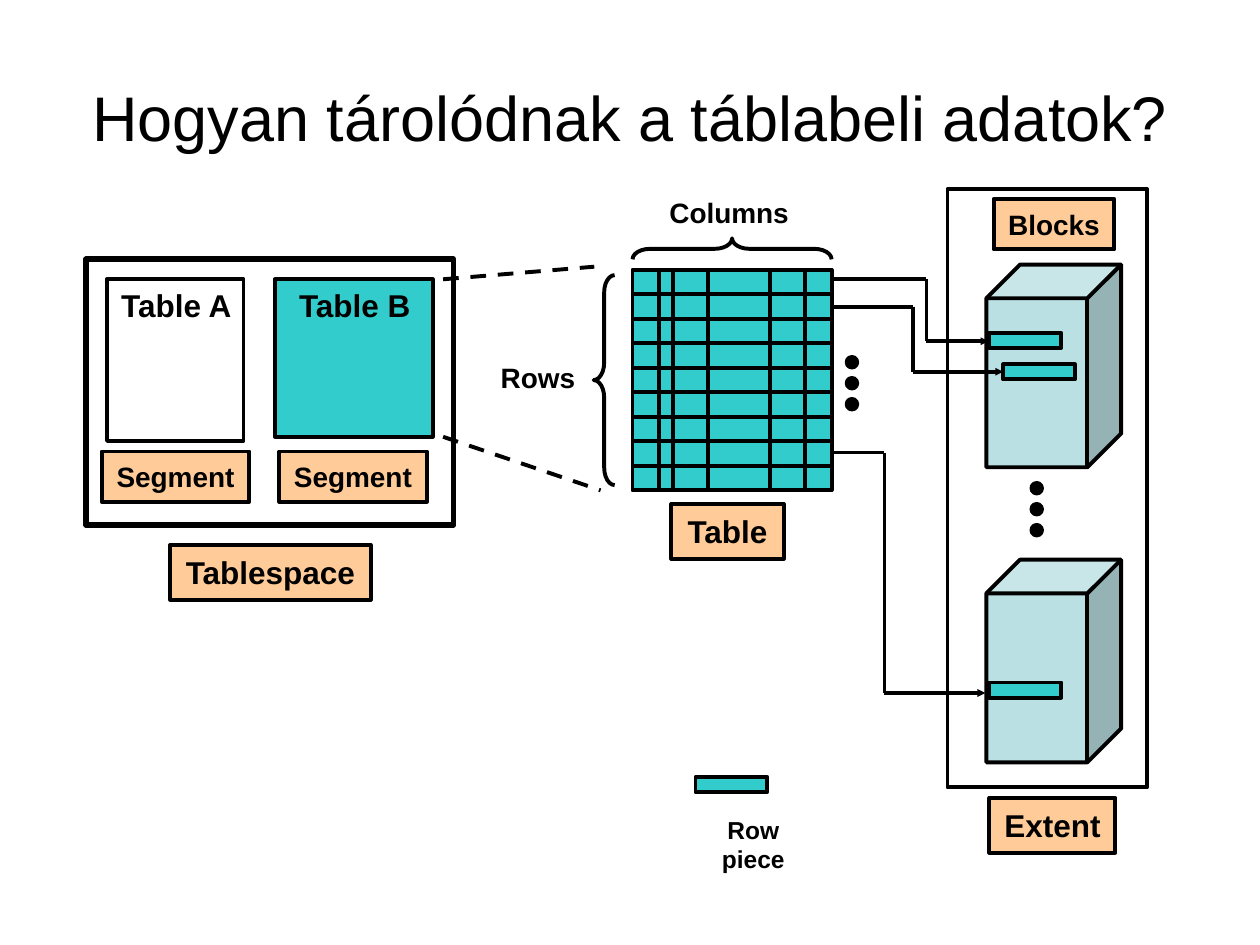
from dataclasses import dataclass
from itertools import pairwise

from lxml import etree
from pptx import Presentation
from pptx.dml.color import RGBColor
from pptx.enum.dml import MSO_LINE
from pptx.enum.shapes import MSO_CONNECTOR, MSO_SHAPE
from pptx.enum.text import MSO_ANCHOR, PP_ALIGN
from pptx.oxml.ns import qn
from pptx.util import Inches, Pt

STRAIGHT = MSO_CONNECTOR.STRAIGHT
DASH = MSO_LINE.DASH
RECTANGLE, CUBE = MSO_SHAPE.RECTANGLE, MSO_SHAPE.CUBE
OVAL, BRACE = MSO_SHAPE.OVAL, MSO_SHAPE.LEFT_BRACE
TOP, MIDDLE = MSO_ANCHOR.TOP, MSO_ANCHOR.MIDDLE
CENTER = PP_ALIGN.CENTER

# The slide is a grid of 120 columns by 90 rows; all lengths count its cells.
SLIDE_WIDTH, SLIDE_HEIGHT = Inches(10), Inches(7.5)
CELL = SLIDE_WIDTH / 120


@dataclass(frozen=True)
class Theme:
    font: str = "Arial"
    ink: str = "000000"
    label: str = "FFCC99"
    data: str = "33CCCC"
    block: str = "BBE0E3"
    title: int = 36
    large: int = 18
    medium: int = 16
    small: int = 14
    line: float = 2.25
    frame: float = 3.25


@dataclass(frozen=True)
class Box:
    left: float
    top: float
    width: float
    height: float

    def inner(self, left, top, width, height):
        return Box(self.left + left, self.top + top, width, height)

    def point(self, x, y):
        return self.left + x, self.top + y

    def lengths(self):
        return [cells(n) for n in (self.left, self.top, self.width, self.height)]


THEME = Theme()


def cells(count):
    return round(count * CELL)


def write(shape, text, size=THEME.large, bold=True, anchor=MIDDLE, wrap=False, margin=0.1):
    frame = shape.text_frame
    frame.word_wrap = wrap
    frame.vertical_anchor = anchor
    frame.margin_left = frame.margin_right = Inches(margin)
    para = frame.paragraphs[0]
    para.alignment = CENTER
    span = para.add_run()
    span.text = text
    span.font.name = THEME.font
    span.font.size = Pt(size)
    span.font.bold = bold
    span.font.color.rgb = RGBColor.from_string(THEME.ink)


def add_text(page, box, text, **style):
    write(page.shapes.add_textbox(*box.lengths()), text, **style)


def draw(page, kind, box, fill=None, line=THEME.line):
    shape = page.shapes.add_shape(kind, *box.lengths())
    shape.shadow.inherit = False
    if fill:
        shape.fill.solid()
        shape.fill.fore_color.rgb = RGBColor.from_string(fill)
    else:
        shape.fill.background()
    shape.line.color.rgb = RGBColor.from_string(THEME.ink)
    shape.line.width = Pt(line)
    return shape


def add_label(page, box, text, **style):
    write(draw(page, RECTANGLE, box, THEME.label), text, **style)


def add_route(page, points, dash=None, arrow=False):
    for start, end in pairwise(points):
        link = page.shapes.add_connector(STRAIGHT, *(cells(n) for n in (*start, *end)))
        link.line.color.rgb = RGBColor.from_string(THEME.ink)
        link.line.width = Pt(THEME.line)
        if dash:
            link.line.dash_style = dash
        properties = link._element.spPr
        etree.SubElement(properties, qn("a:effectLst"))
    if arrow:
        etree.SubElement(properties.find(qn("a:ln")), qn("a:tailEnd"),
                         type="triangle", w="sm", len="sm")


def add_dots(page, box):
    for index in range(3):
        draw(page, OVAL, box.inner(0, 2 * index, 1, 1), THEME.ink)


def add_piece(page, box, left, top):
    draw(page, RECTANGLE, box.inner(left, top, 6.84, 1.44), THEME.data)


def add_brace(page, box):
    brace = draw(page, BRACE, box)
    brace.adjustments[0] = 0.83
    brace.adjustments[1] = 0.5
    return brace


def add_title(page, box, text):
    title = page.shapes.title
    title.left, title.top, title.width, title.height = box.lengths()
    write(title, text, size=THEME.title, bold=False, wrap=True)


def add_tablespace(page, box):
    draw(page, RECTANGLE, box, line=THEME.frame)
    draw(page, RECTANGLE, box.inner(2, 1.9, 13, 15.4))
    draw(page, RECTANGLE, box.inner(18, 1.9, 15, 15), THEME.data)
    for left, text in ((2, "Table A"), (19, "Table B")):
        add_text(page, box.inner(left, 1.9, 13.2, 4.8), text)
    for left in (1.5, 18.4):
        add_label(page, box.inner(left, 18.3, 14.04, 4.8), "Segment", size=THEME.medium)
    add_label(page, box.inner(8, 27.2, 19.1, 5.2), "Tablespace")
    # Dashed lines that enlarge Table B
    add_route(page, [box.point(34, 1.9), box.point(48.4, 0.7)], dash=DASH)
    add_route(page, [box.point(34, 16.9), box.point(49, 22)], dash=DASH)


def add_table_grid(page, box):
    draw(page, RECTANGLE, box, THEME.data)
    row_count = 9
    for row in range(1, row_count):
        y = row * box.height / row_count
        add_route(page, [box.point(0, y), box.point(box.width, y)])
    for x in (2.5, 3.9, 7.2, 13.1, 16.4):
        add_route(page, [box.point(x, 0), box.point(x, box.height)])
    # Braces and captions
    depth = 2
    add_brace(page, box.inner(-3.7, 0.5, depth, box.height - 1))
    columns_brace = add_brace(page, box.inner(
        (box.width - depth) / 2, -2 - box.width / 2, depth, box.width))
    columns_brace.rotation = 90
    add_text(page, box.inner(-15, 8, 12, 4.4), "Rows", size=THEME.medium)
    add_text(page, box.inner(2.3, -7.7, 13.8, 4.4), "Columns", size=THEME.medium)
    add_label(page, box.inner(3.7, 22.3, 10.7, 5.2), "Table")
    add_dots(page, box.inner(20.4, 8.3, 1, 5))


def add_extent(page, box):
    draw(page, RECTANGLE, box)
    add_label(page, box.inner(4.4, 0.96, 11.5, 4.8), "Blocks", size=THEME.medium)
    for top in (7.2, 35.3):
        draw(page, CUBE, box.inner(3.7, top, 12.84, 19.3), THEME.block)
    for left, top in ((4, 13.7), (5.3, 16.7), (4, 47)):
        add_piece(page, box, left, top)
    add_dots(page, box.inner(8, 28, 1, 5))
    add_label(page, box.inner(4, 58, 12, 5.2), "Extent")


def add_row_links(page, box):
    # Each link: row height, turning column, target column and target height
    for row, turn, target, level in ((0.9, 28, 33.9, 6.8), (3.5, 26.7, 35.3, 9.7),
                                     (17.4, 24, 33.6, 40.3)):
        corners = ((box.width, row), (turn, row), (turn, level), (target, level))
        add_route(page, [box.point(*corner) for corner in corners], arrow=True)


def add_legend(page, box):
    add_piece(page, box, 1.44, 0)
    add_text(page, box.inner(0, 3, box.width, 7), "Row piece",
             size=THEME.small, anchor=TOP, wrap=True, margin=0.2)


def main():
    deck = Presentation()
    deck.slide_width, deck.slide_height = SLIDE_WIDTH, SLIDE_HEIGHT
    page = deck.slides.add_slide(deck.slide_layouts[5])
    table = Box(60.24, 25.7, 18.96, 21)
    add_title(page, Box(6, 3.6, 108, 15), "Hogyan tárolódnak a táblabeli adatok?")
    add_tablespace(page, Box(8.2, 24.7, 35, 25.3))
    add_table_grid(page, table)
    add_extent(page, Box(90.24, 18, 19, 57))
    add_row_links(page, table)
    add_legend(page, Box(64.8, 74, 13.9, 10))
    deck.save("out.pptx")


if __name__ == "__main__":
    main()
